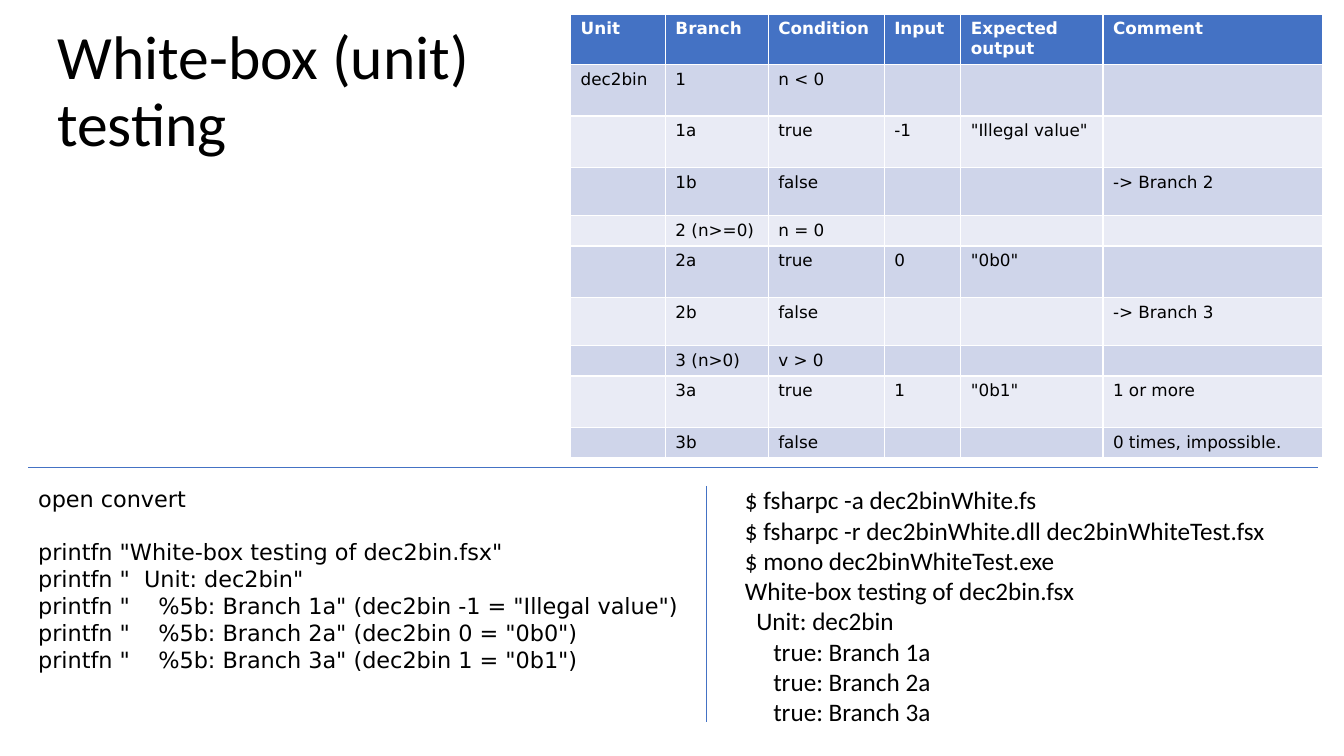
from lxml import etree
from pptx import Presentation
from pptx import util as u
from pptx.dml.color import RGBColor
from pptx.enum import shapes, text
from pptx.oxml.ns import qn

PX = 9144  # EMU; 100 px to the inch

COLORS = {
    "text": "000000",
    "header_text": "FFFFFF",
    "accent": "4472C4",
    "band_dark": "CFD5EA",
    "band_light": "E9EBF5",
}

SANS = "Calibri"
WIDE = "DejaVu Sans"

COLUMN_WIDTHS = [94, 102, 115, 76, 141, 218]
ROW_HEIGHTS = [50, 51, 51, 48, 30, 51, 48, 30, 51, 30]
TEST_CASES = [
    ["Unit", "Branch", "Condition", "Input", "Expected output", "Comment"],
    ["dec2bin", "1", "n < 0", "", "", ""],
    ["", "1a", "true", "-1", '"Illegal value"', ""],
    ["", "1b", "false", "", "", "-> Branch 2"],
    ["", "2 (n>=0)", "n = 0", "", "", ""],
    ["", "2a", "true", "0", '"0b0"', ""],
    ["", "2b", "false", "", "", "-> Branch 3"],
    ["", "3 (n>0)", "v > 0", "", "", ""],
    ["", "3a", "true", "1", '"0b1"', "1 or more"],
    ["", "3b", "false", "", "", "0 times, impossible."],
]

IMPORT_LINE = "open convert"
TEST_CODE = [
    'printfn "White-box testing of dec2bin.fsx"',
    'printfn "  Unit: dec2bin"',
    'printfn "    %5b: Branch 1a" (dec2bin -1 = "Illegal value")',
    'printfn "    %5b: Branch 2a" (dec2bin 0 = "0b0")',
    'printfn "    %5b: Branch 3a" (dec2bin 1 = "0b1")',
]
CONSOLE = [
    "$ fsharpc -a dec2binWhite.fs",
    "$ fsharpc -r dec2binWhite.dll dec2binWhiteTest.fsx",
    "$ mono dec2binWhiteTest.exe",
    "White-box testing of dec2bin.fsx",
    "  Unit: dec2bin",
    "     true: Branch 1a",
    "     true: Branch 2a",
    "     true: Branch 3a",
]


def px(length):
    return u.Emu(length * PX)


def color(name):
    return RGBColor.from_string(COLORS[name])


def write(frame, lines, *, size, font, ink="text", bold=False, spacing=None):
    """Fill a text frame with one paragraph per line and return the paragraphs."""
    paragraphs = []
    for index, line in enumerate(lines):
        paragraph = frame.add_paragraph() if index else frame.paragraphs[0]
        paragraphs.append(paragraph)
        if spacing:
            paragraph.line_spacing = spacing
        if not line:
            # An empty paragraph takes its height from its end mark.
            etree.SubElement(paragraph._p, qn("a:endParaRPr"), sz=str(size * 100))
            continue
        run = paragraph.add_run()
        run.text = line
        run.font.size = u.Pt(size)
        run.font.name = font
        run.font.bold = bold
        run.font.color.rgb = color(ink)
    return paragraphs


def add_text(slide, left, top, width, height, lines,
             anchor=text.MSO_ANCHOR.TOP, **style):
    box = slide.shapes.add_textbox(px(left), px(top), px(width), px(height))
    frame = box.text_frame
    frame.word_wrap = True
    frame.vertical_anchor = anchor
    return write(frame, lines, **style)


def add_divider(slide, x1, y1, x2, y2):
    line = slide.shapes.add_connector(
        shapes.MSO_CONNECTOR.STRAIGHT, px(x1), px(y1), px(x2), px(y2))
    line.line.color.rgb = color("accent")
    line.line.width = u.Pt(0.5)
    etree.SubElement(line._element.spPr, qn("a:effectLst"))


def add_test_table(slide, left, top):
    table = slide.shapes.add_table(
        len(ROW_HEIGHTS), len(COLUMN_WIDTHS), px(left), px(top),
        px(sum(COLUMN_WIDTHS)), px(sum(ROW_HEIGHTS))).table
    for column, width in zip(table.columns, COLUMN_WIDTHS):
        column.width = px(width)
    for index, (row, height) in enumerate(zip(table.rows, ROW_HEIGHTS)):
        row.height = px(height)
        header = index == 0
        band = "band_dark" if index % 2 else "band_light"
        for cell, value in zip(row.cells, TEST_CASES[index]):
            cell.fill.solid()
            cell.fill.fore_color.rgb = color("accent" if header else band)
            write(cell.text_frame, [value], size=12, font=WIDE, bold=header,
                  ink="header_text" if header else "text")


def main():
    presentation = Presentation()
    presentation.slide_width = px(1333)
    presentation.slide_height = px(750)
    slide = presentation.slides.add_slide(presentation.slide_layouts[6])

    add_text(slide, 47, 20, 449, 145, ["White-box (unit) testing"],
             anchor=text.MSO_ANCHOR.MIDDLE, size=44, font=SANS, spacing=0.9)
    code = add_text(slide, 28, 476, 659, 199, [IMPORT_LINE, *TEST_CODE],
                    size=16, font=WIDE)
    code[1].space_before = u.Pt(19)
    add_text(slide, 729, 476, 604, 283, CONSOLE, size=18, font=SANS)
    add_divider(slide, 28, 464, 1307, 464)
    add_divider(slide, 701, 482, 701, 716)
    add_test_table(slide, 566, 14)

    presentation.save("out.pptx")


if __name__ == "__main__":
    main()
